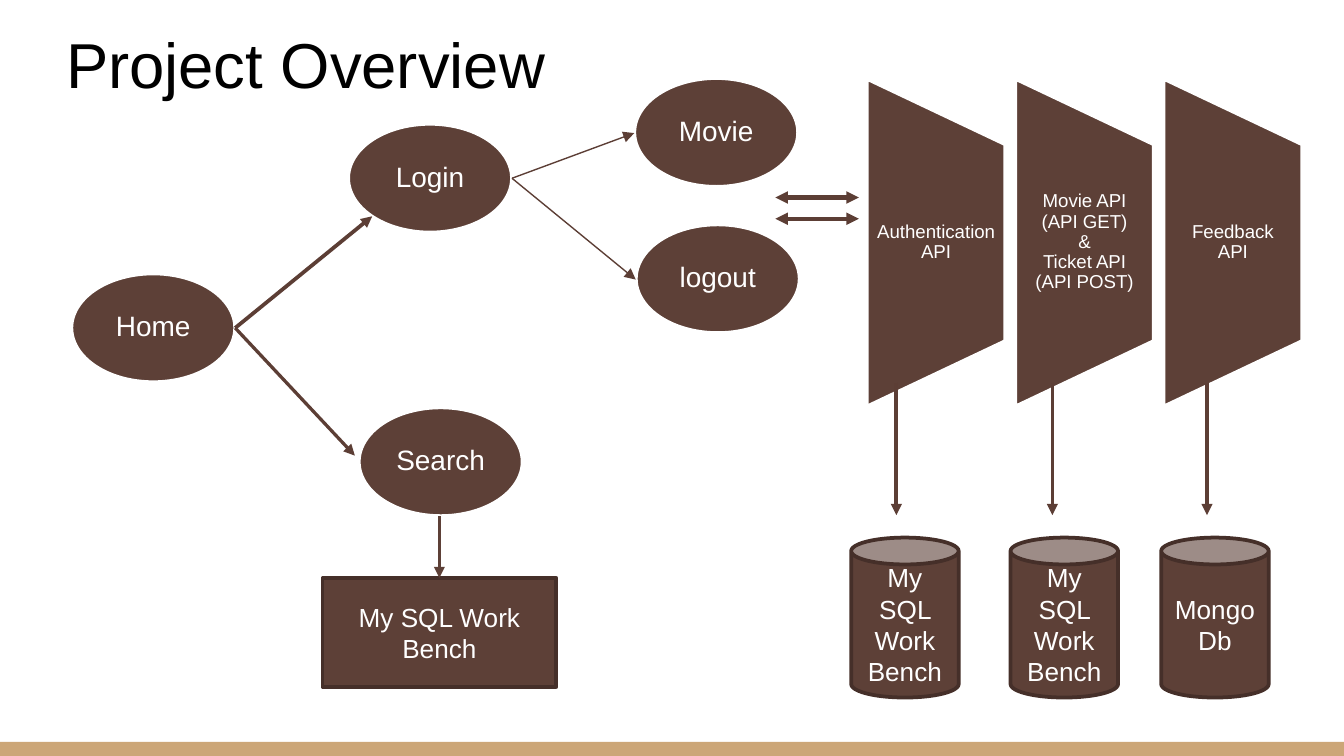
import copy
import pptx
import pptx.util
import pptx.dml.color
import pptx.enum.shapes
import pptx.enum.text
import pptx.oxml.ns
import pptx.oxml.xmlchemy

Pt = pptx.util.Pt
RGB = pptx.dml.color.RGBColor.from_string
MSO = pptx.enum.shapes.MSO_SHAPE
qn = pptx.oxml.ns.qn
OxmlElement = pptx.oxml.xmlchemy.OxmlElement
COLORS = {"brown": "5D4037", "arrow": "5C3E35", "edge": "452F29",
          "tan": "CCA677", "white": "FFFFFF", "black": "000000"}

prs = pptx.Presentation()
prs.slide_width, prs.slide_height = Pt(720), Pt(405)
s = prs.slides.add_slide(prs.slide_layouts[6])


def add_box(text, x, y, w, h, shape=None, fill="brown", line=None, size=14,
            color="white", align="CENTER", anchor="MIDDLE", spacing=1.0,
            insets=(7.2, 3.6, 7.2, 3.6), rotation=0):
    box = tuple(Pt(v) for v in (x, y, w, h))
    if shape is None:
        sp = s.shapes.add_textbox(*box)
    else:
        sp = s.shapes.add_shape(shape, *box)
        sp.shadow.inherit = False
        sp.rotation = rotation
        sp.fill.solid()
        sp.fill.fore_color.rgb = RGB(COLORS[fill])
        if line:
            sp.line.color.rgb = RGB(COLORS[line])
            sp.line.width = Pt(2)
        else:
            sp.line.fill.background()
    if not text:
        return
    tf = sp.text_frame
    tf.word_wrap = True
    tf.vertical_anchor = getattr(pptx.enum.text.MSO_ANCHOR, anchor)
    tf.margin_left, tf.margin_top, tf.margin_right, tf.margin_bottom = map(Pt, insets)
    tf.text = text
    for p in tf.paragraphs:
        p.alignment = getattr(pptx.enum.text.PP_ALIGN, align)
        p.line_spacing = spacing
        for r in p.runs:
            r.font.name = "Arial"
            r.font.size = Pt(size)
            r.font.color.rgb = RGB(COLORS[color])
        for br in p._p.findall(qn("a:br")):
            br.append(copy.deepcopy(p.runs[0]._r.rPr))


def add_arrow(x1, y1, x2, y2, width=2, color="arrow", both=False):
    c = s.shapes.add_connector(pptx.enum.shapes.MSO_CONNECTOR.STRAIGHT,
                               Pt(x1), Pt(y1), Pt(x2), Pt(y2))
    c.line.color.rgb = RGB(COLORS[color])
    c.line.width = Pt(width)
    ln = c.line._get_or_add_ln()
    for tag in (["a:headEnd"] if both else []) + ["a:tailEnd"]:
        end = OxmlElement(tag)
        end.set("type", "triangle")
        ln.append(end)
    c._element.spPr.append(OxmlElement("a:effectLst"))


add_box("", 0, 397.5, 720, 7.5, shape=MSO.RECTANGLE, fill="tan")

for text, x, y in [("Home", 38.2, 146.5), ("Login", 186.5, 66.3), ("Search", 192.2, 218.2),
                   ("logout", 340.6, 120.2), ("Movie", 339.8, 41.8)]:
    add_box(text, x, y, 87.8, 58.3, shape=MSO.OVAL, line="white", size=15,
            spacing=0.9, insets=(1, 1, 1, 1))

add_arrow(126, 175.7, 199.4, 115.9)
add_arrow(126, 175.7, 190.1, 244.1, width=1.75)
add_arrow(274.3, 95.5, 339.8, 71.3, width=0.75)
add_arrow(274.3, 95.5, 340.6, 149.8, width=0.75)

api_w, api_h = 74.2, 175.7
for i, text in enumerate(["Authentication API",
                          "Movie API\v(API GET)\v&\vTicket API\v(API POST)",
                          "Feedback\vAPI"]):
    x = 464.4 + i * 79.5
    add_box("", x + (api_w - api_h) / 2, 130 - api_w / 2, api_h, api_w,
            shape=MSO.FLOWCHART_MANUAL_OPERATION, line="white", rotation=270)
    add_box(text, x, 77, api_w, 105.8, size=10, spacing=0.9, insets=(5, 0, 5, 0))

for y in (105.8, 117.2):
    add_arrow(415.4, y, 460.1, y, width=2.25, both=True)

for text, x, arrow_x in [("My SQL Work Bench", 456, 480.2),
                         ("My SQL Work Bench", 541.4, 563.8),
                         ("Mongo\nDb", 622.1, 646.6)]:
    add_arrow(arrow_x, 205, arrow_x, 276)
    add_box(text, x, 288, 57.6, 85.7, shape=MSO.CAN, line="edge")

add_box("Project Overview", 18.7, 10.1, 701.3, 48.2, size=34, color="black",
        align="LEFT", anchor="TOP", insets=(16.7, 3.6, 7.2, 3.6))
add_box("My SQL Work Bench", 172.8, 309.6, 125.3, 58.3, shape=MSO.RECTANGLE, line="edge")
add_arrow(235.4, 276.5, 235.4, 309.6, width=1.75, color="brown")

prs.save("out.pptx")
